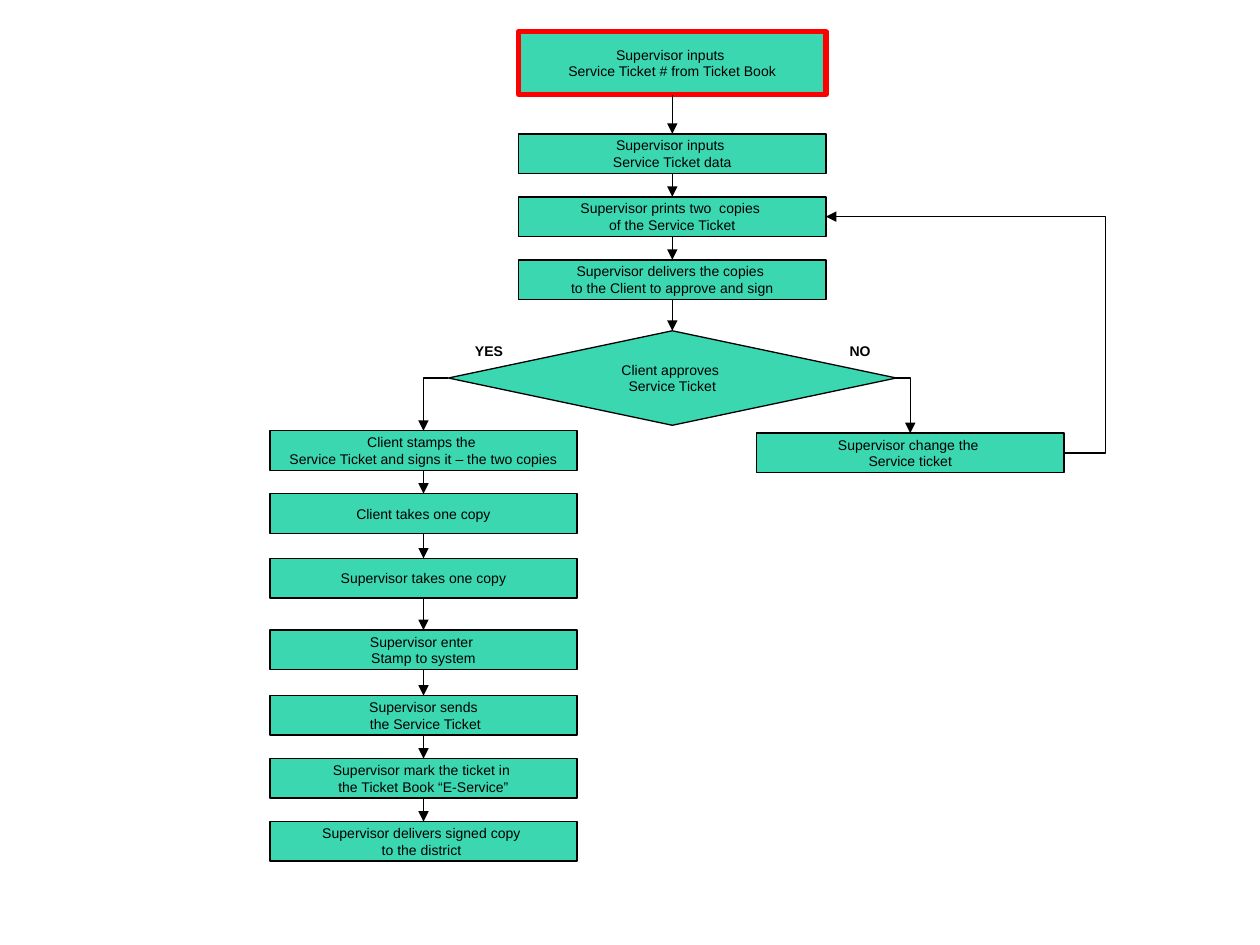
from dataclasses import dataclass
from itertools import pairwise

from lxml import etree
from pptx import Presentation
from pptx.dml.color import RGBColor
from pptx.enum.shapes import MSO_CONNECTOR, MSO_SHAPE
from pptx.enum.text import MSO_ANCHOR, PP_ALIGN
from pptx.oxml.ns import qn
from pptx.util import Pt

RECT, CHOICE = MSO_SHAPE.RECTANGLE, MSO_SHAPE.FLOWCHART_DECISION
STRAIGHT, ELBOW = MSO_CONNECTOR.STRAIGHT, MSO_CONNECTOR.ELBOW
CENTER, MIDDLE = PP_ALIGN.CENTER, MSO_ANCHOR.MIDDLE
TOP, LEFT, BOTTOM, RIGHT = range(4)

COLORS = {"fill": "00CC99", "ink": "000000", "mark": "FF0000"}
FONT = {"name": "Arial", "size": Pt(8)}
BOX_FRAME = {"word_wrap": False, "vertical_anchor": MIDDLE}
LABEL_FRAME = {"word_wrap": True}

# Column centers and common box size, in points
MAIN_X, YES_X, NO_X = 384.2, 242, 520.2
WIDTH, HEIGHT = 175.6, 22.6


@dataclass
class Step:
    text: str
    mid: float
    top: float
    width: float = WIDTH
    height: float = HEIGHT
    kind: int = RECT
    edge: str = "ink"
    weight: float = 0.75


@dataclass
class Label:
    text: str
    left: float
    top: float
    width: float
    height: float


MAIN = [
    Step("Supervisor inputs \nService Ticket # from Ticket Book", MAIN_X, 18,
         height=36, edge="mark", weight=3),
    Step("Supervisor inputs \nService Ticket data", MAIN_X, 76.5),
    Step("Supervisor prints two  copies \nof the Service Ticket", MAIN_X, 112.5),
    Step("Supervisor delivers the copies \nto the Client to approve and sign",
         MAIN_X, 148.5),
    Step("Client approves \nService Ticket", MAIN_X, 189, 256, 54, CHOICE),
]
YES = [
    Step(text, YES_X, top) for text, top in (
        ("Client stamps the \nService Ticket and signs it – the two copies", 246.2),
        ("Client takes one copy", 282.1),
        ("Supervisor takes one copy", 319.1),
        ("Supervisor enter \nStamp to system", 360),
        ("Supervisor sends\n the Service Ticket", 397.5),
        ("Supervisor mark the ticket in \nthe Ticket Book “E-Service”", 433.5),
        ("Supervisor delivers signed copy \nto the district ", 469.5),
    )
]
NO = Step("Supervisor change the \nService ticket", NO_X, 247.5)
LABELS = [Label("YES", 247.5, 192.4, 64, 18), Label("NO", 463.5, 192.4, 56, 15)]


def apply(target, values: dict) -> None:
    for name, value in values.items():
        setattr(target, name, value)


def write(shape, text: str, frame: dict, bold: bool = False, before: float = 0) -> None:
    body = shape.text_frame
    apply(body, frame)
    body.text = text
    for para in body.paragraphs:
        apply(para, {"alignment": CENTER, "space_before": Pt(before)})
        apply(para.font, {**FONT, "bold": bold})
        para.font.color.rgb = RGBColor.from_string(COLORS["ink"])


def draw_step(slide, step: Step):
    shape = slide.shapes.add_shape(
        step.kind, Pt(step.mid - step.width / 2), Pt(step.top),
        Pt(step.width), Pt(step.height))
    shape.shadow.inherit = False
    shape.fill.solid()
    shape.fill.fore_color.rgb = RGBColor.from_string(COLORS["fill"])
    tint = shape._element.spPr.find(qn("a:solidFill")).find(qn("a:srgbClr"))
    etree.SubElement(tint, qn("a:alpha"), val="77000")
    shape.line.color.rgb = RGBColor.from_string(COLORS[step.edge])
    shape.line.width = Pt(step.weight)
    write(shape, step.text, BOX_FRAME)
    return shape


def draw_label(slide, label: Label) -> None:
    box = slide.shapes.add_textbox(
        Pt(label.left), Pt(label.top), Pt(label.width), Pt(label.height))
    write(box, label.text, LABEL_FRAME, bold=True, before=5)


def link(slide, start, end, out: int = BOTTOM, into: int = TOP, kind: int = STRAIGHT):
    line = slide.shapes.add_connector(kind, 0, 0, 0, 0)
    line.begin_connect(start, out)
    line.end_connect(end, into)
    line.line.color.rgb = RGBColor.from_string(COLORS["ink"])
    line.line.width = Pt(0.75)
    props = line._element.spPr
    etree.SubElement(props.find(qn("a:ln")), qn("a:tailEnd"), type="triangle")
    etree.SubElement(props, qn("a:effectLst"))
    return line._element.spPr.find(qn("a:prstGeom"))


def main() -> None:
    deck = Presentation()
    deck.slide_width, deck.slide_height = Pt(720), Pt(540)
    slide = deck.slides.add_slide(deck.slide_layouts[6])

    # Steps and branch labels
    trunk = [draw_step(slide, step) for step in MAIN]
    branch = [draw_step(slide, step) for step in YES]
    change = draw_step(slide, NO)
    for label in LABELS:
        draw_label(slide, label)

    # Arrows down each column
    for chain in (trunk, branch):
        for start, end in pairwise(chain):
            link(slide, start, end)

    # Branches out of the decision: one bend each
    for end, side in ((branch[0], LEFT), (change, RIGHT)):
        shape = link(slide, trunk[-1], end, side, TOP, ELBOW)
        shape.set("prst", "bentConnector2")

    # Loop back to printing, with its bend to the right of both boxes
    loop = link(slide, change, trunk[2], RIGHT, RIGHT, ELBOW)
    guides = loop.find(qn("a:avLst"))
    etree.SubElement(guides, qn("a:gd"), name="adj1", fmla="val -17600")

    deck.save("out.pptx")


if __name__ == "__main__":
    main()
